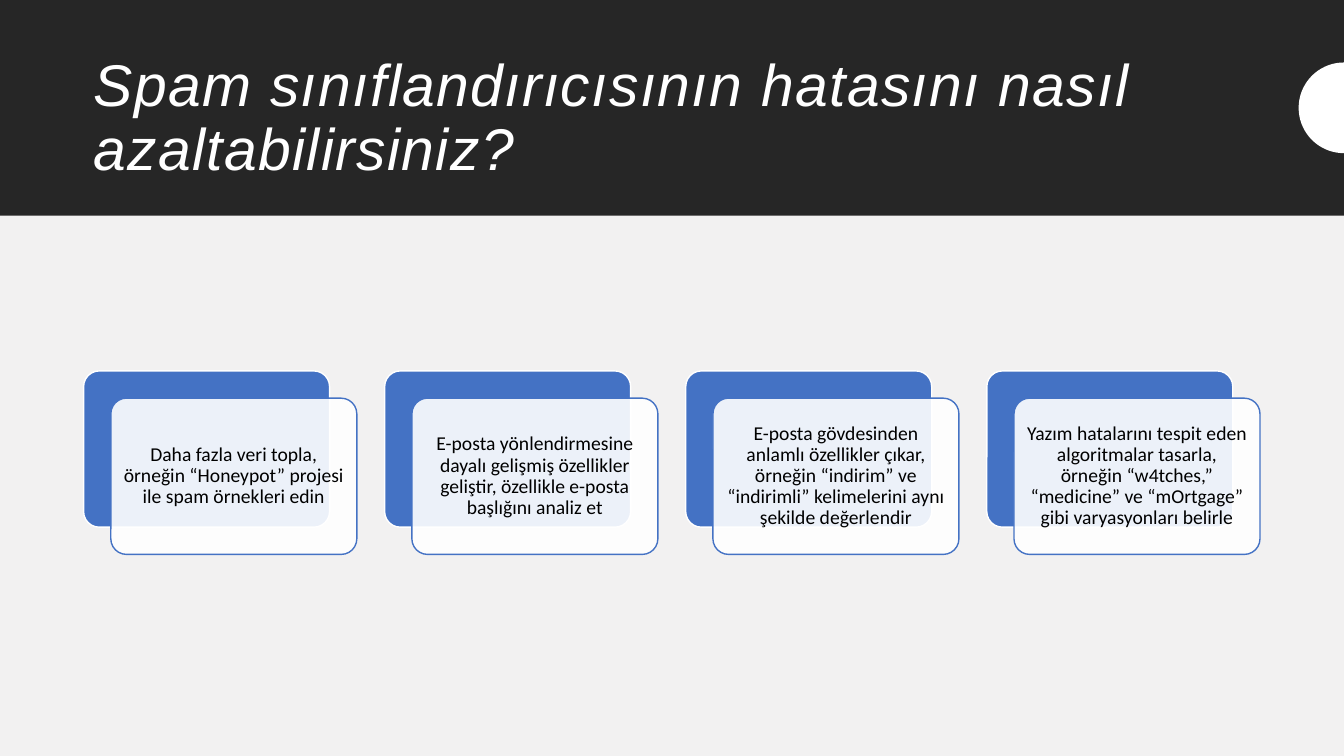
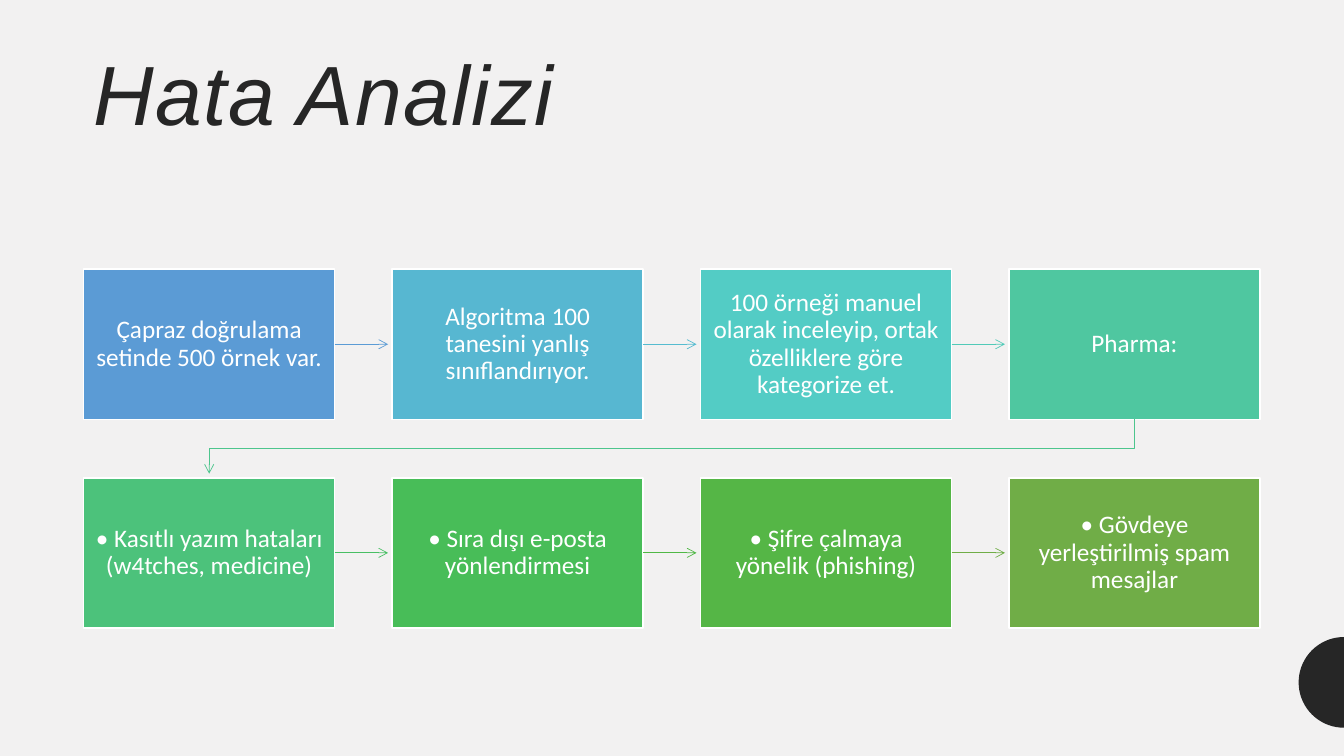
"""Builds two slides on reducing the errors of a spam classifier."""
from math import cos, pi, sin

from pptx import Presentation
from pptx.dml.color import RGBColor
from pptx.enum.shapes import MSO_CONNECTOR as CONN, MSO_SHAPE as SHAPE
from pptx.enum.text import MSO_ANCHOR as ANCHOR, PP_ALIGN as ALIGN
from pptx.oxml.ns import qn
from pptx.util import Inches, Pt
from lxml.etree import SubElement

DARK = RGBColor(0x26, 0x26, 0x26)
PALE = RGBColor(0xF2, 0xF1, 0xF1)
WHITE = RGBColor(0xFF, 0xFF, 0xFF)
BLACK = RGBColor(0x00, 0x00, 0x00)
BLUE = RGBColor(0x44, 0x72, 0xC4)
STEP_FILLS = [RGBColor.from_string(c) for c in (
    "5B9BD5", "57B7D1", "53CCC5", "4FC7A0",
    "4CC27B", "48BD58", "55B646", "70AD47")]
ARROW_COLOURS = [RGBColor.from_string(c) for c in (
    "5B9BD5", "56BCD0", "52CAB8", "4DC58D",
    "49BF64", "50B846", "70AD47")]

SLIDE_W, SLIDE_H = 13.333, 7.5
LEFT, CONTENT_W = 0.83, 11.67
COLUMNS = 4
DISC_R = 0.45
TITLE_FONT = {"name": "Arial", "italic": True}
BODY_FONT = {"name": "Calibri"}

CARD_TEXTS = [
    "Daha fazla veri topla, örneğin “Honeypot” projesi ile spam örnekleri edin",
    "E-posta yönlendirmesine dayalı gelişmiş özellikler geliştir, "
    "özellikle e-posta başlığını analiz et",
    "E-posta gövdesinden anlamlı özellikler çıkar, örneğin “indirim” ve "
    "“indirimli” kelimelerini aynı şekilde değerlendir",
    "Yazım hatalarını tespit eden algoritmalar tasarla, örneğin “w4tches,” "
    "“medicine” ve “mOrtgage” gibi varyasyonları belirle",
]
STEP_TEXTS = [
    "Çapraz doğrulama setinde 500 örnek var.",
    "Algoritma 100 tanesini yanlış sınıflandırıyor.",
    "100 örneği manuel olarak inceleyip, ortak özelliklere göre kategorize et.",
    "Pharma:",
    "• Kasıtlı yazım hataları (w4tches, medicine)",
    "• Sıra dışı e-posta yönlendirmesi",
    "• Şifre çalmaya yönelik (phishing)",
    "• Gövdeye yerleştirilmiş spam mesajlar",
]


def set_all(obj, values):
    for name, value in values.items():
        setattr(obj, name, value)


def column_pitch(width):
    return (CONTENT_W - width) / (COLUMNS - 1)


def write(sp, text, font, size, colour, frame, align=ALIGN.LEFT):
    tf = sp.text_frame
    set_all(tf, {"word_wrap": True, **frame})
    p = tf.paragraphs[0]
    set_all(p, {"alignment": align, "line_spacing": 0.9})
    r = p.add_run()
    r.text = text
    set_all(r.font, {"size": Pt(size), **font})
    r.font.color.rgb = colour
    return r


def add_box(s, kind, at, fill, line=None):
    sp = s.shapes.add_shape(kind, *map(Inches, at))
    sp.shadow.inherit = False
    sp.fill.solid()
    sp.fill.fore_color.rgb = fill
    if line is None:
        sp.line.fill.background()
    else:
        sp.line.color.rgb = line
        sp.line.width = Pt(1)
    return sp


def add_title(s, text, at, size, colour, anchor):
    tb = s.shapes.add_textbox(*map(Inches, at))
    r = write(tb, text, TITLE_FONT, size, colour, {"vertical_anchor": anchor})
    r.font._element.set("spc", "100")


def add_polyline(s, points, close):
    pts = [(Inches(x), Inches(y)) for x, y in points]
    builder = s.shapes.build_freeform(*pts[0])
    builder.add_line_segments(pts[1:], close=close)
    sp = builder.convert_to_shape()
    sp.shadow.inherit = False
    return sp


def add_half_disc(s, centre_y, colour):
    steps = 36
    angles = [pi * i / steps for i in range(steps + 1)]
    sp = add_polyline(s, [(SLIDE_W - DISC_R * sin(a), centre_y - DISC_R * cos(a))
                          for a in angles], True)
    sp.fill.solid()
    sp.fill.fore_color.rgb = colour
    sp.line.fill.background()


def style_arrow(sp, colour):
    sp.line.color.rgb = colour
    sp.line.width = Pt(0.5)
    SubElement(sp.line._get_or_add_ln(), qn("a:tailEnd"), type="arrow")


def add_arrow(s, x, y, length, colour):
    cx = s.shapes.add_connector(
        CONN.STRAIGHT, *map(Inches, (x, y, x + length, y)))
    style_arrow(cx, colour)
    SubElement(cx._element.spPr, qn("a:effectLst"))


def add_return_arrow(s, start, end, turn_y, colour):
    sp = add_polyline(
        s, [start, (start[0], turn_y), (end[0], turn_y), end], False)
    sp.fill.background()
    style_arrow(sp, colour)


def insets(x, y):
    return {"margin_left": Inches(x), "margin_right": Inches(x),
            "margin_top": Inches(y), "margin_bottom": Inches(y),
            "vertical_anchor": ANCHOR.MIDDLE}


def add_card(s, x, y, w, h, offset, text):
    back = add_box(s, SHAPE.ROUNDED_RECTANGLE, (x, y, w, h), BLUE, WHITE)
    front = add_box(s, SHAPE.ROUNDED_RECTANGLE,
                    (x + offset, y + offset, w, h), WHITE, BLUE)
    for sp in (back, front):
        sp.adjustments[0] = 0.1
    colour = front._element.spPr.find(qn("a:solidFill"))[0]
    SubElement(colour, qn("a:alpha"), val="90000")
    write(front, text, BODY_FONT, 14, BLACK, insets(0.06, 0.06), ALIGN.CENTER)


def add_slide(prs):
    s = prs.slides.add_slide(prs.slide_layouts[6])
    s.background.fill.solid()
    s.background.fill.fore_color.rgb = PALE
    return s


def build_remedies(prs):
    s = add_slide(prs)
    add_box(s, SHAPE.RECTANGLE, (0, 0, SLIDE_W, 2.14), DARK)
    add_title(s, "Spam sınıflandırıcısının hatasını nasıl azaltabilirsiniz?",
              (LEFT, 0.46, CONTENT_W, 1.45), 42, WHITE, ANCHOR.MIDDLE)
    add_half_disc(s, 1.07, WHITE)
    w, h, offset = 2.44, 1.55, 0.27
    pitch = column_pitch(w + offset)
    for i, text in enumerate(CARD_TEXTS):
        add_card(s, LEFT + i * pitch, 3.68, w, h, offset, text)


def build_analysis(prs):
    s = add_slide(prs)
    add_title(s, "Hata Analizi", (LEFT, 0.48, CONTENT_W, 1.5), 60, DARK,
              ANCHOR.TOP)
    add_half_disc(s, 6.77, DARK)
    w, h, top, row_pitch, arrow = 2.49, 1.49, 2.67, 2.07, 0.53
    pitch = column_pitch(w)
    for i, (text, fill) in enumerate(zip(STEP_TEXTS, STEP_FILLS)):
        row, col = divmod(i, COLUMNS)
        x, y = LEFT + col * pitch, top + row * row_pitch
        sp = add_box(s, SHAPE.RECTANGLE, (x, y, w, h), fill, WHITE)
        write(sp, text, BODY_FONT, 18, WHITE, insets(0.12, 0.13), ALIGN.CENTER)
        if col < COLUMNS - 1:
            add_arrow(s, x + w, y + h / 2, arrow, ARROW_COLOURS[i])
        elif row == 0:
            add_return_arrow(s, (x + w / 2, y + h),
                             (LEFT + w / 2, y + row_pitch - 0.04),
                             y + (h + row_pitch) / 2, ARROW_COLOURS[i])


def main():
    prs = Presentation()
    set_all(prs, {"slide_width": Inches(SLIDE_W),
                  "slide_height": Inches(SLIDE_H)})
    build_remedies(prs)
    build_analysis(prs)
    prs.save("out.pptx")


if __name__ == "__main__":
    main()
